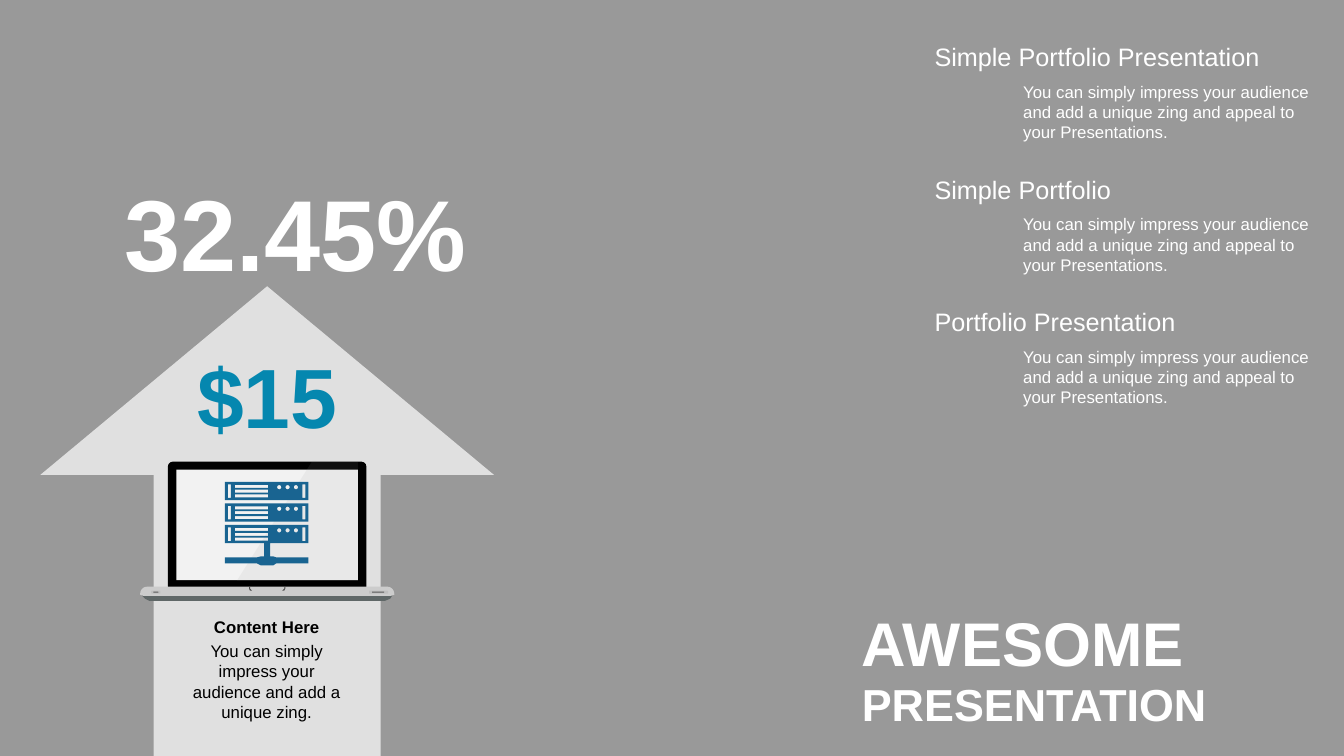
import math

from lxml import etree
from pptx import Presentation
from pptx import util as u
from pptx.dml.color import RGBColor
from pptx.enum import shapes, text
from pptx.oxml.ns import qn

COLORS = {
    "black": "000000", "white": "FFFFFF", "accent": "0587AF", "server": "196491",
    "underside": "5F6767", "screen": "F2F2F2", "base": "CCCCCC", "notch": "4D4D4D",
    "port": "BFBFBF", "slot": "595959", "glare": "999999",
}
SHAPE = shapes.MSO_SHAPE
ALIGN = text.PP_ALIGN
ANCHOR = text.MSO_ANCHOR
INTRO = "You can simply impress your audience and add a unique zing"


def grid(n):
    return u.Inches(n / 10)


def box(x, y, w, h):
    return [(x, y), (x + w, y), (x + w, y + h), (x, y + h)]


def arc(cx, cy, r, start, end, steps=6):
    angles = [math.radians(start + (end - start) * i / steps) for i in range(steps + 1)]
    return [(cx + r * math.cos(a), cy + r * math.sin(a)) for a in angles]


class Canvas:
    font = "Arial"

    def __init__(self, slide):
        self.slide = slide
        self.target = slide.shapes

    def group(self):
        self.target = self.slide.shapes.add_group_shape().shapes

    def ungroup(self):
        self.target = self.slide.shapes

    def paint(self, sp, color, opacity):
        sp.shadow.inherit = False
        sp.line.fill.background()
        sp.fill.solid()
        sp.fill.fore_color.rgb = RGBColor.from_string(COLORS[color])
        if opacity < 100:
            clr = sp.fill._xPr.find(qn("a:solidFill"))[0]
            etree.SubElement(clr, qn("a:alpha")).set("val", str(opacity * 1000))

    def shape(self, kind, at, color, opacity=100, adjust=()):
        sp = self.target.add_shape(kind, *map(grid, at))
        for i, value in enumerate(adjust):
            sp.adjustments[i] = value
        self.paint(sp, color, opacity)

    def outline(self, contours, color, opacity=100):
        contours = [[(grid(x), grid(y)) for x, y in c] for c in contours]
        builder = self.target.build_freeform(*contours[0][0])
        for i, contour in enumerate(contours):
            if i:
                builder.move_to(*contour[0])
            builder.add_line_segments(contour[1:])
        self.paint(builder.convert_to_shape(), color, opacity)

    def label(self, at, words, size, color="white", bold=False, align=ALIGN.LEFT,
              anchor=ANCHOR.TOP, spacing=None):
        tf = self.target.add_textbox(*map(grid, at)).text_frame
        tf.word_wrap = True
        tf.auto_size = text.MSO_AUTO_SIZE.SHAPE_TO_FIT_TEXT
        tf.vertical_anchor = anchor
        p = tf.paragraphs[0]
        p.text = words
        p.alignment = align
        p.line_spacing = spacing
        p.font.name = self.font
        p.font.size = u.Pt(size)
        p.font.bold = bold
        p.font.color.rgb = RGBColor.from_string(COLORS[color])


def draw_laptop(c):
    c.group()
    c.outline([[(14.3, 58.9), (38.8, 58.8), (38.9, 59.1), (38.7, 59.4), (38.2, 59.6),
                (14.8, 59.6), (14.4, 59.4), (14.1, 59.1)]], "underside")
    c.shape(SHAPE.ROUNDED_RECTANGLE, (16.65, 45.8, 19.7, 12.85), "black", adjust=[0.04])
    c.shape(SHAPE.RECTANGLE, (17.5, 46.6, 18, 10.95), "screen")
    c.outline([arc(14.6, 58.9, 0.7, 180, 270) + arc(38.4, 58.9, 0.7, 270, 360)
               + [(39.1, 59), (38.8, 59.1), (14.2, 59.1), (13.9, 59)]], "base")
    wing = [(24.7, 58.2), (24.8, 58.2), (24.8, 58.4), (25, 58.6), (24.8, 58.6), (24.7, 58.4)]
    c.outline([wing, [(53 - x, y) for x, y in wing]], "notch")
    for port, slot in (((15, 0.9), (15.2, 0.5)), ((36.6, 1.9), (36.9, 1.2))):
        c.shape(SHAPE.ROUNDED_RECTANGLE, (port[0], 58.6, port[1], 0.3), "port", adjust=[0.28])
        c.shape(SHAPE.ROUNDED_RECTANGLE, (slot[0], 58.7, slot[1], 0.1), "slot", adjust=[0.28])
    c.outline([[(31, 45.7), (35.5, 45.8), (35.5, 57.6), (23.5, 57.6)]], "glare", 10)
    c.ungroup()


def draw_server(c):
    contours = []
    for rack in range(3):
        top = 47.8 + 2.14 * rack
        contours.append(box(22.3, top, 8.3, 1.82))
        contours += [box(x, top + 0.25, 0.3, 1.35) for x in (22.6, 30)]
        contours += [box(23.3, top + 0.3 + 0.48 * i, 3.3, 0.3) for i in range(3)]
        contours += [arc(27.7 + 0.83 * i, top + 0.54, 0.21, 0, 360, 16) for i in range(3)]
    contours.append(box(26.2, 53.9, 0.6, 1.3))
    contours.append([(22.3, 55.3), (25.5, 55.3), (25.9, 55.2), (27.1, 55.2), (27.4, 55.3),
                     (30.6, 55.3), (30.6, 55.9), (27.4, 55.9), (27.1, 56.1), (25.9, 56.1),
                     (25.5, 55.9), (22.3, 55.9)])
    c.outline(contours, "server")


def main():
    prs = Presentation()
    prs.slide_width, prs.slide_height = u.Inches(13.33), u.Inches(7.5)
    s = prs.slides.add_slide(prs.slide_layouts[6])
    c = Canvas(s)

    c.shape(SHAPE.RECTANGLE, (0, 0, 133.3, 75), "black", 40)
    c.shape(SHAPE.UP_ARROW, (4, 28.4, 45, 47), "white", 70, [0.5, 0.416])
    c.label((12.5, 33.7, 28, 11.1), "$15", 60, "accent", True, ALIGN.CENTER)
    c.label((8.2, 16.4, 42.2, 13.1), "32.45%", 72, bold=True, align=ALIGN.CENTER)

    draw_laptop(c)
    c.group()
    c.label((17.4, 63.1, 18.1, 9.1), INTRO + ".", 12, "black", align=ALIGN.CENTER)
    c.label((17.4, 60.7, 18.1, 3), "Content Here", 12, "black", True, ALIGN.CENTER)
    c.ungroup()
    draw_server(c)

    headings = ["Simple Portfolio Presentation", "Simple Portfolio", "Portfolio Presentation"]
    for i, heading in enumerate(headings):
        top = 4.2 + 13.15 * i
        c.label((91.7, top, 40.8, 3.4), heading, 18, spacing=0.8)
        c.label((100.5, top + 3.4, 32, 7.1), INTRO + " and appeal to your Presentations.", 12)

    for words, top, height, size in (("AWESOME", 59.5, 8.4, 44), ("PRESENTATION", 66.6, 6.4, 32)):
        c.label((84.5, top, 45.9, height), words, size, bold=True,
                align=ALIGN.JUSTIFY, anchor=ANCHOR.MIDDLE)

    prs.save("out.pptx")


if __name__ == "__main__":
    main()
